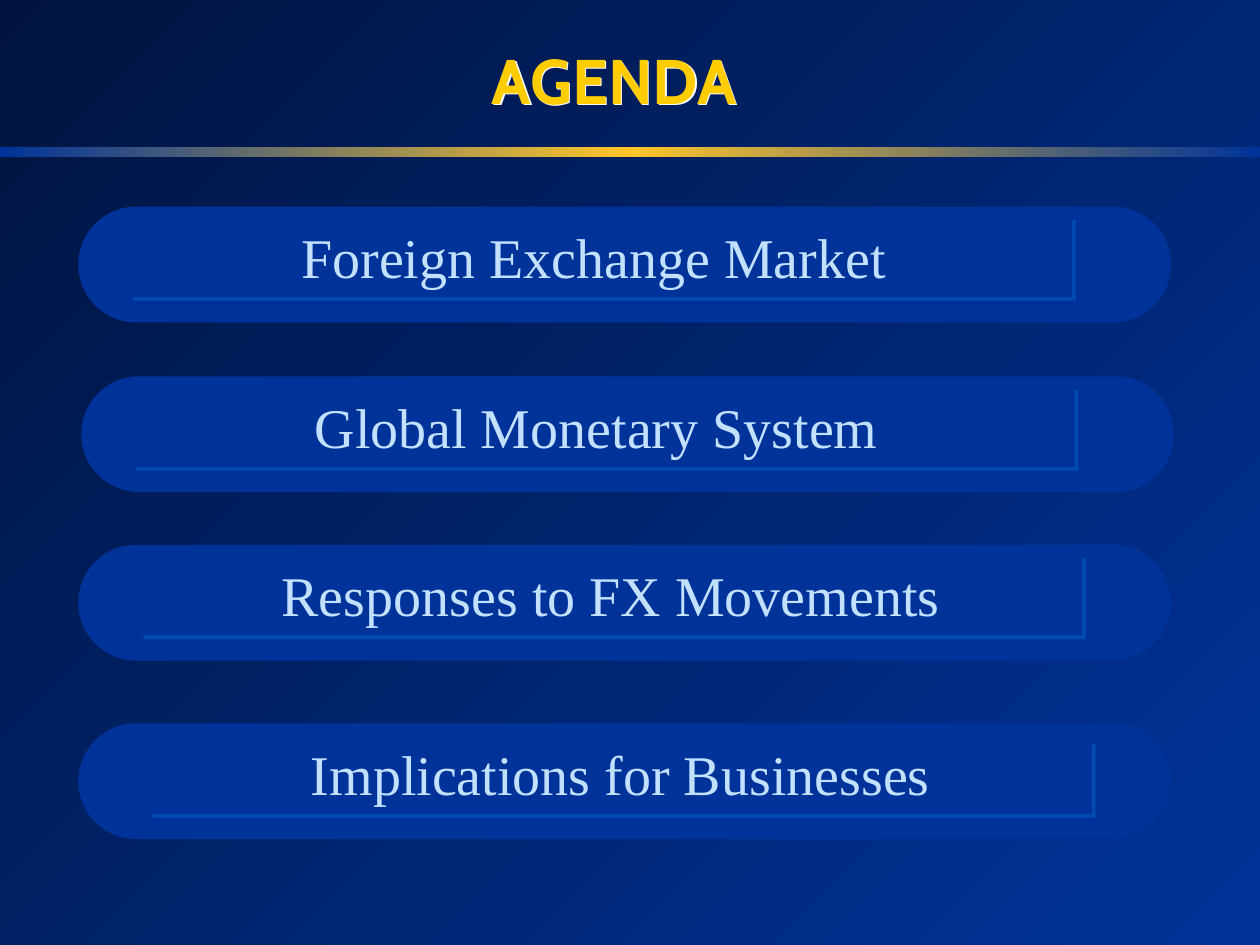
import copy
from dataclasses import dataclass

import pptx
import pptx.dml.color
import pptx.enum.shapes
import pptx.enum.text
import pptx.oxml
import pptx.oxml.ns
import pptx.util

Pt = pptx.util.Pt
Kind = pptx.enum.shapes.MSO_SHAPE
NAVY, GOLD, WHITE = "003399", "FFCC00", "FFFFFF"


@dataclass
class Item:
    text: str
    left: float        # pill corner
    top: float
    box_left: float    # text panel corner
    box_top: float
    high: float = 46.1
    lines: float = 1.0


ITEMS = [
    Item("Foreign Exchange Market ", 44.8, 118.1, 74.2, 123.8),
    Item("Global Monetary System ", 46.5, 215, 75.6, 220.9),
    Item("Responses to FX Movements", 44.8, 311.3, 79.9, 317),
    Item("Implications for Businesses", 44.8, 413.3, 85.5, 423.4, 41.8, 0.9),
]


def paint(color, code: str) -> None:
    color.rgb = pptx.dml.color.RGBColor.from_string(code)


def blend(fill, start: str, end: str, angle: float) -> None:
    fill.gradient()
    fill.gradient_angle = angle
    for stop, code, place in zip(fill.gradient_stops, (start, end), (0, 1)):
        paint(stop.color, code)
        stop.position = place


def shade(shape, code: str, alpha: int, dist: float) -> None:
    """Cast a hard shadow down and to the right."""
    shape.shadow.inherit = False
    node = shape._element.spPr.find(pptx.oxml.ns.qn("a:effectLst"))
    node.append(pptx.oxml.parse_xml(
        f'<a:outerShdw {pptx.oxml.ns.nsdecls("a")} blurRad="0" dist="{Pt(dist)}" '
        f'dir="2700000" algn="ctr" rotWithShape="0"><a:srgbClr val="{code}">'
        f'<a:alpha val="{alpha * 1000}"/></a:srgbClr></a:outerShdw>'))


def block(shapes, kind, left: float, top: float, wide: float, high: float,
          code: str = NAVY, alpha: int = 100):
    shape = shapes.add_shape(kind, Pt(left), Pt(top), Pt(wide), Pt(high))
    shape.shadow.inherit = False
    shape.line.fill.background()
    shape.fill.solid()
    paint(shape.fill.fore_color, code)
    if kind == Kind.ROUNDED_RECTANGLE:
        shape.adjustments[0] = 0.5
    if alpha < 100:
        node = shape._element.spPr.find(".//" + pptx.oxml.ns.qn("a:srgbClr"))
        node.append(pptx.oxml.parse_xml(
            f'<a:alpha {pptx.oxml.ns.nsdecls("a")} val="{alpha * 1000}"/>'))
    return shape


def write(shape, text: str, *, font: str, size: float, code: str,
          bold: bool = False, lines: float = 1.0) -> None:
    frame = shape.text_frame
    frame.word_wrap = True
    frame.auto_size = pptx.enum.text.MSO_AUTO_SIZE.SHAPE_TO_FIT_TEXT
    frame.vertical_anchor = pptx.enum.text.MSO_ANCHOR.TOP
    para = frame.paragraphs[0]
    para.alignment = pptx.enum.text.PP_ALIGN.CENTER
    para.line_spacing = lines
    run = para.add_run()
    run.text = text
    run.font.name, run.font.size, run.font.bold = font, Pt(size), bold
    paint(run.font.color, code)


def draw(slide, item: Item) -> None:
    shapes = slide.shapes.add_group_shape().shapes
    pill = Kind.ROUNDED_RECTANGLE
    block(shapes, pill, item.left, item.top, 624.3, 66.2)
    block(shapes, pill, item.left + 11.3, item.top + 5.7, 605.5, 54.8, alpha=50)
    panel = block(shapes, Kind.RECTANGLE, item.box_left, item.box_top, 538.5, item.high)
    shade(panel, "0066CC", 50, 2.8)
    write(panel, item.text, font="Times New Roman", size=32, code="C2E0FF",
          lines=item.lines)


def main() -> None:
    deck = pptx.Presentation()
    deck.slide_width, deck.slide_height = Pt(720), Pt(540)
    slide = deck.slides.add_slide(deck.slide_layouts[6])

    # Background
    blend(slide.background.fill, "00143F", NAVY, 315)

    # Gold band, fading to navy at both ends
    band = block(slide.shapes, Kind.RECTANGLE, 0, 84, 720, 6)
    blend(band.fill, NAVY, "FDC529", 0)
    band.fill.gradient_stops[1].position = 0.5
    stops = band._element.spPr.find(".//" + pptx.oxml.ns.qn("a:gsLst"))
    last = copy.deepcopy(stops[0])
    last.set("pos", "100000")
    stops.append(last)

    # Title
    title = slide.shapes.add_textbox(Pt(241.2), Pt(20.2), Pt(219.6), Pt(50.4))
    shade(title, WHITE, 100, 1.2)
    write(title, "AGENDA", font="Cabin", size=36, code=GOLD, bold=True)

    # Agenda items
    for item in ITEMS:
        draw(slide, item)

    deck.save("out.pptx")


if __name__ == "__main__":
    main()
